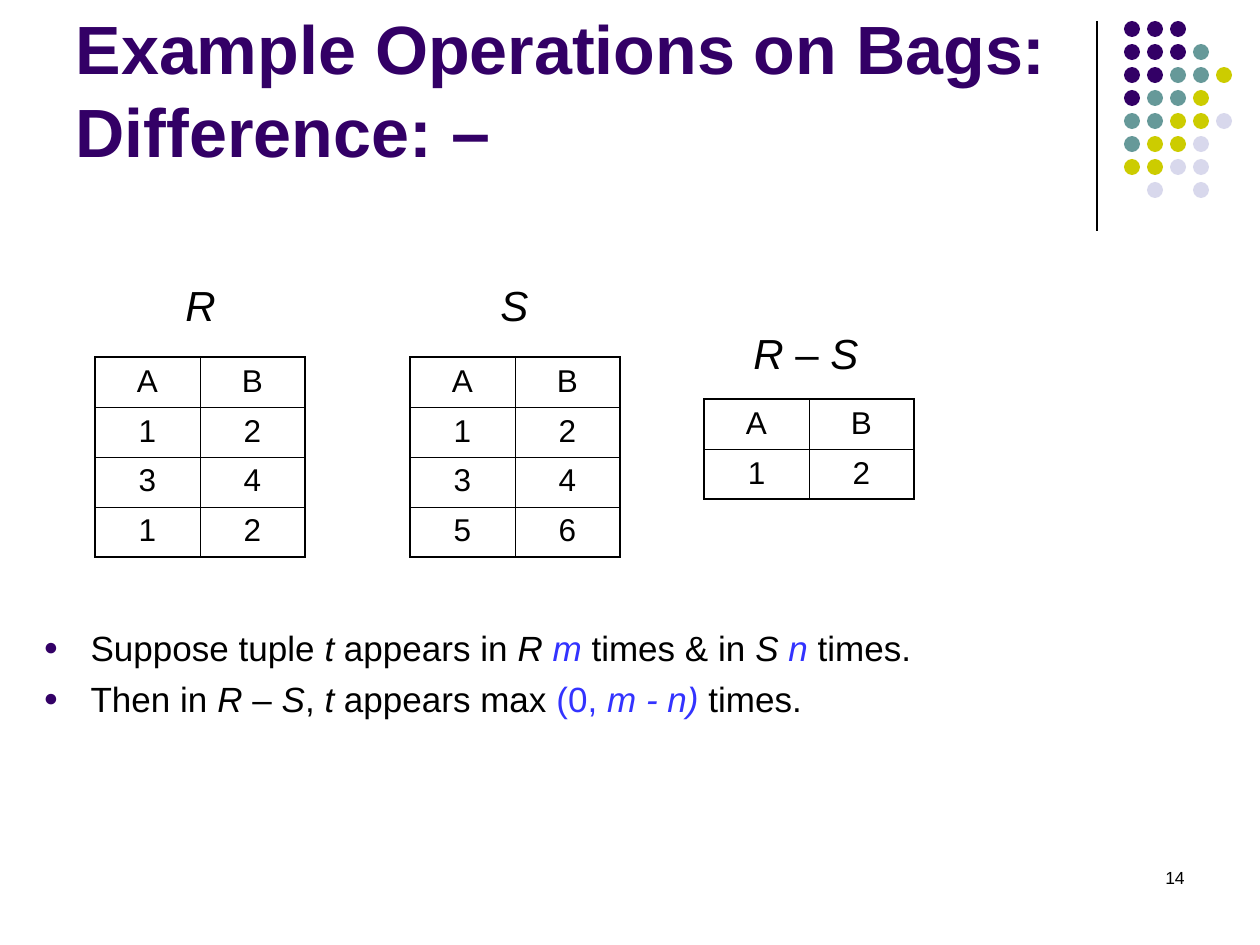
from pptx import Presentation
from pptx.dml.color import RGBColor
from pptx.enum.shapes import MSO_CONNECTOR, MSO_SHAPE
from pptx.enum.text import MSO_ANCHOR, MSO_AUTO_SIZE, PP_ALIGN
from pptx.oxml import parse_xml
from pptx.oxml.ns import nsdecls
from pptx.util import Emu, Pt

PURPLE = RGBColor(0x33, 0x00, 0x66)
TEAL = RGBColor(0x66, 0x99, 0x99)
OLIVE = RGBColor(0xCC, 0xCC, 0x00)
LAVENDER = RGBColor(0xD8, 0xD8, 0xEC)
BLUE = RGBColor(0x33, 0x33, 0xFF)
BLACK = RGBColor(0x00, 0x00, 0x00)

ITALIC = {"italic": True}
VARIABLE = {"italic": True, "color": BLUE}
DOT_COLORS = {"P": PURPLE, "T": TEAL, "O": OLIVE, "L": LAVENDER}
DOT_ROWS = ["PPP", "PPPT", "PPTTO", "PTTO", "TTOOL", "TOOL", "OOLL", " L L"]


def px(length):
    """Turn pixels, 126 to the inch, into EMU."""
    return Emu(round(length * 914400 / 126))


def write(para, text, size=18, color=BLACK, bold=False, italic=False):
    """Add one formatted span to a paragraph."""
    span = para.add_run()
    span.text = text
    span.font.name = "Arial"
    span.font.size = Pt(size)
    span.font.color.rgb = color
    span.font.bold = bold
    span.font.italic = italic


class SlideBuilder:
    """Holds the style and the current slide."""

    line_factor = 1.2
    outer_border = 1.08
    inner_border = 0.45
    column_width = 105
    row_height = 50

    def __init__(self, deck):
        """Add a slide with a title and a body."""
        self.slide = deck.slides.add_slide(deck.slide_layouts[1])

    def place(self, shape, left, top, width, height):
        """Move and size a placeholder."""
        shape.left, shape.top = px(left), px(top)
        shape.width, shape.height = px(width), px(height)
        shape.text_frame.auto_size = MSO_AUTO_SIZE.NONE
        return shape.text_frame

    def fill_para(self, para, spans, size, align=PP_ALIGN.LEFT, before=0, **style):
        """Fill a paragraph with (text, format) spans."""
        para.alignment = align
        para.line_spacing = Pt(size * self.line_factor)
        para.space_before = Pt(before)
        for text, span_format in spans:
            write(para, text, **{"size": size, **style, **span_format})

    def title(self, spans, *bounds):
        """Fill the title placeholder."""
        frame = self.place(self.slide.shapes.title, *bounds)
        frame.vertical_anchor = MSO_ANCHOR.BOTTOM
        frame.margin_top = 0
        frame.margin_bottom = px(5)
        self.fill_para(frame.paragraphs[0], spans, 40, color=PURPLE, bold=True)

    def bullets(self, items, *bounds):
        """Fill the body placeholder with a bulleted list."""
        frame = self.place(self.slide.placeholders[1], *bounds)
        for index, spans in enumerate(items):
            para = frame.add_paragraph() if index else frame.paragraphs[0]
            self.fill_para(para, spans, 20, before=5)
            properties = para._p.get_or_add_pPr()
            properties.set("marL", str(px(47)))
            properties.set("indent", str(-px(47)))
            for xml in (
                f'<a:buClr {nsdecls("a")}><a:srgbClr val="{PURPLE}"/></a:buClr>',
                f'<a:buSzPct {nsdecls("a")} val="70000"/>',
                f'<a:buFont {nsdecls("a")} typeface="Arial"/>',
                f'<a:buChar {nsdecls("a")} char="●"/>',
            ):
                properties.append(parse_xml(xml))

    def text(self, spans, left, top, width, height, size=24, align=PP_ALIGN.LEFT):
        """Add a text box."""
        box = self.slide.shapes.add_textbox(px(left), px(top), px(width), px(height))
        box.text_frame.word_wrap = True
        if align == PP_ALIGN.LEFT:
            box.text_frame.margin_right = 0
        self.fill_para(box.text_frame.paragraphs[0], spans, size, align)

    def table(self, rows, left, top):
        """Add a relation as a ruled table."""
        row_count, column_count = len(rows), len(rows[0])
        frame = self.slide.shapes.add_table(
            row_count, column_count, px(left), px(top),
            px(self.column_width * column_count), px(self.row_height * row_count))
        table = frame.table
        table.first_row = table.horz_banding = False
        for row, values in enumerate(rows):
            for column, value in enumerate(values):
                cell = table.cell(row, column)
                cell.fill.background()
                cell.margin_top, cell.margin_bottom = px(4), px(8)
                self.fill_para(cell.text_frame.paragraphs[0], [(value, {})], 18,
                               PP_ALIGN.CENTER, before=4.5)
                self.borders(cell, L=column == 0, R=column == column_count - 1,
                             T=row == 0, B=row == row_count - 1)

    def borders(self, cell, **sides):
        """Rule each side of a cell, heavier on the outside of the table."""
        properties = cell._tc.get_or_add_tcPr()
        for index, (side, outer) in enumerate(sides.items()):
            width = Pt(self.outer_border if outer else self.inner_border)
            properties.insert(index, parse_xml(
                f'<a:ln{side} {nsdecls("a")} w="{width}"><a:solidFill>'
                f'<a:srgbClr val="{BLACK}"/></a:solidFill></a:ln{side}>'))

    def line(self, x1, y1, x2, y2):
        """Add a thin black line."""
        line = self.slide.shapes.add_connector(
            MSO_CONNECTOR.STRAIGHT, px(x1), px(y1), px(x2), px(y2))
        line.line.color.rgb = BLACK
        line.line.width = Pt(0.75)
        line._element.spPr.append(parse_xml(f'<a:effectLst {nsdecls("a")}/>'))

    def dot(self, left, top, color, size=16):
        """Add a plain round dot."""
        dot = self.slide.shapes.add_shape(
            MSO_SHAPE.OVAL, px(left), px(top), px(size), px(size))
        dot.shadow.inherit = False
        dot.fill.solid()
        dot.fill.fore_color.rgb = color
        dot.line.fill.background()


def main():
    """Build the bag difference slide."""
    deck = Presentation()
    deck.slide_width, deck.slide_height = px(1260), px(945)
    page = SlideBuilder(deck)

    page.line(1097, 21, 1097, 231)
    for row, pattern in enumerate(DOT_ROWS):
        for column, key in enumerate(pattern):
            if key in DOT_COLORS:
                page.dot(1124 + 23 * column, 21 + 23 * row, DOT_COLORS[key])

    page.title([("Example Operations on Bags: Difference: ", {"size": 39}), ("–", {})],
               63, 16, 1040, 161)
    page.bullets([
        [("Suppose tuple ", {}), ("t", ITALIC), (" appears in ", {}), ("R ", ITALIC),
         ("m ", VARIABLE), ("times & in ", {}), ("S ", ITALIC), ("n ", VARIABLE),
         ("times.", {})],
        [("Then in ", {}), ("R", ITALIC), (" – ", {}), ("S", ITALIC), (", ", {}),
         ("t", ITALIC), (" appears max ", {}), ("(0, ", {"color": BLUE}),
         ("m - n) ", VARIABLE), ("times.", {})],
    ], 31, 620, 987, 136)

    shared_rows = ["AB", "12", "34"]
    page.table(shared_rows + ["12"], 95, 357)
    page.text([("R", ITALIC)], 173, 273, 55, 63)
    page.table(shared_rows + ["56"], 410, 357)
    page.text([("S", ITALIC)], 488, 273, 53, 63)
    page.table(["AB", "12"], 704, 399)
    page.text([("R ", ITALIC), ("– ", {}), ("S", ITALIC)], 741, 321, 125, 71)
    page.text([("14", {})], 903, 861, 294, 63, size=10, align=PP_ALIGN.RIGHT)

    deck.save("out.pptx")


if __name__ == "__main__":
    main()
